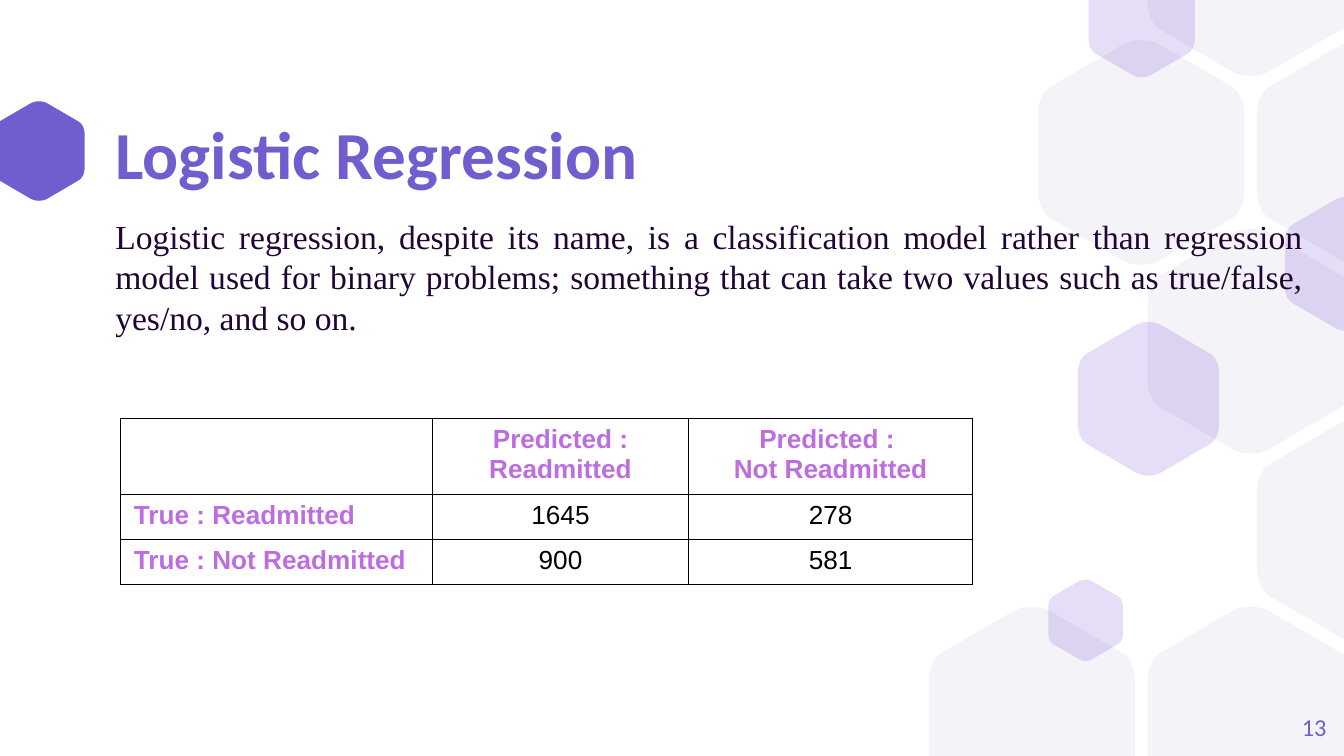
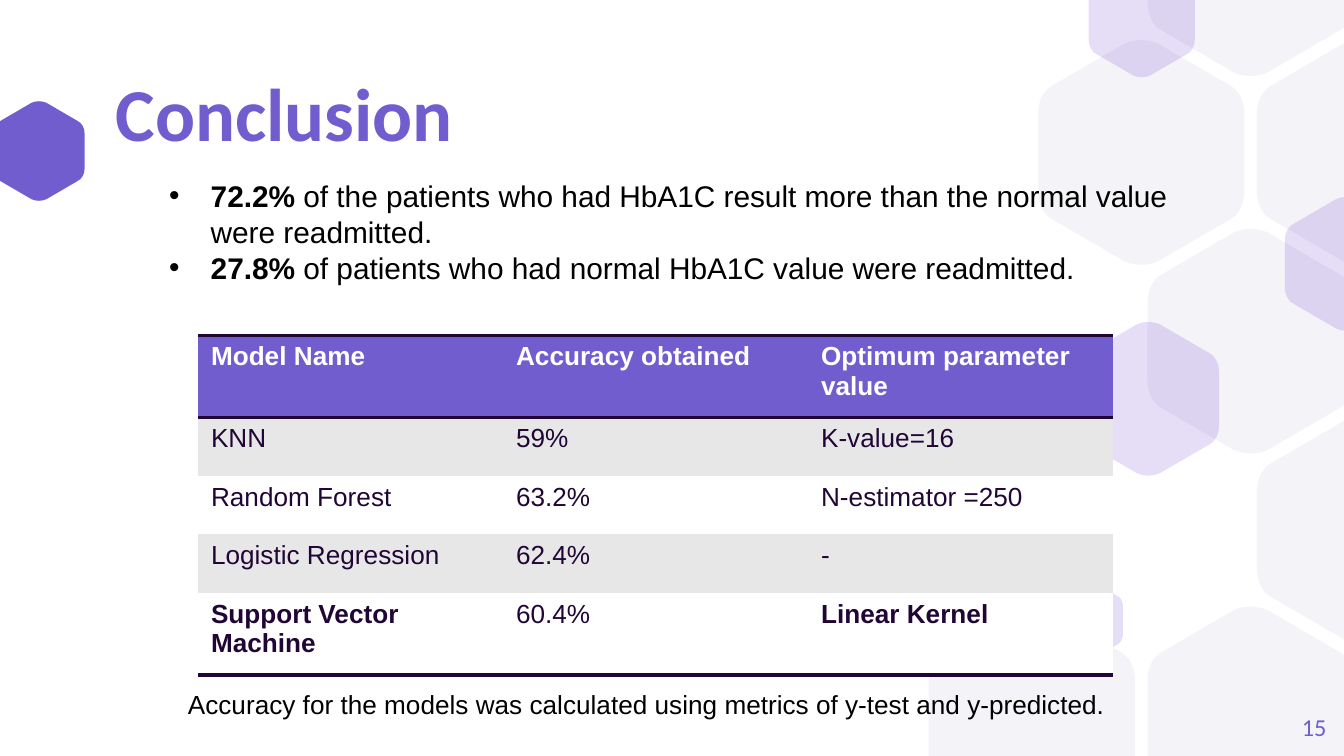
from lxml import etree
from pptx import Presentation
from pptx.dml.color import RGBColor
from pptx.enum.text import MSO_ANCHOR, MSO_AUTO_SIZE, PP_ALIGN
from pptx.oxml.ns import qn
from pptx.util import Emu, Inches, Pt

LEFT, MID, RIGHT, EVEN = PP_ALIGN.LEFT, PP_ALIGN.CENTER, PP_ALIGN.RIGHT, PP_ALIGN.JUSTIFY
TOP, CENTER = MSO_ANCHOR.TOP, MSO_ANCHOR.MIDDLE
FIXED, GROW = MSO_AUTO_SIZE.NONE, MSO_AUTO_SIZE.SHAPE_TO_FIT_TEXT
WIDE = Inches(10)
HIGH = WIDE * 9 // 16
PLAIN = "{2D5ABB26-0587-4C30-8999-92F81FD0307C}"

THEME = {
    "violet": "725DCF", "ink": "210635", "black": "000000", "white": "FFFFFF",
    "orchid": "BD6DE0", "mist": "F4F3F8", "haze": "5322C9", "band": "E8E7E8",
    "title": dict(size=36, name="Calibri", color="violet", bold=True),
    "close": dict(size=40, name="Calibri", color="violet", bold=True),
    "number": dict(size=13, name="Calibri", color="violet"),
    "serif": dict(size=18, name="Times New Roman", color="ink"),
    "bullet": dict(size=16, name="Arial", color="black"),
    "label": dict(size=14, name="Arial", color="orchid", bold=True),
    "value": dict(size=14, name="Arial", color="black"),
    "head": dict(size=14, name="Arial", color="white", bold=True),
    "body": dict(size=14, name="Arial", color="ink"),
    "strong": dict(size=14, name="Arial", color="ink", bold=True),
}

BACK = [(0, 3), (2, 3), (3, 0), (2, -1), (2, 1), (1, 0)]
DROPS = [(95.6, 14.6, 9.15), (78, 43.1, 5.55), (81, -2.9, 7.9), (80.2, 23.9, 10.5)]
FRONT = [(3, 2)]
BADGE = (-0.5, 7.5, 6.8)
RATIO = 1.1
CORNERS = [
    [(1, 0.33), (1, 0.27), (0.97, 0.22), (0.92, 0.2)],
    [(0.58, 0.02), (0.53, 0), (0.47, 0), (0.42, 0.02)],
    [(0.08, 0.2), (0.03, 0.22), (0, 0.27), (0, 0.33)],
]

INTRO = ("Logistic regression, despite its name, is a classification model rather "
         "than regression model used for binary problems; something that can take "
         "two values such as true/false, yes/no, and so on.")
COUNTS = [
    ["", "Predicted : Readmitted", "Predicted : \nNot Readmitted"],
    ["True : Readmitted", "1645", "278"],
    ["True : Not Readmitted", "900", "581"],
]
FACTS = [
    [("72.2%", True), (" of the patients who had HbA1C result more than the normal value were readmitted.", False)],
    [("27.8%", True), (" of patients who had normal HbA1C value were readmitted.", False)],
]
SCORES = [
    ["Model Name", "Accuracy obtained", "Optimum parameter value"],
    ["KNN", "59%", "K-value=16"],
    ["Random Forest", "63.2%", "N-estimator =250"],
    ["Logistic Regression", "62.4%", "-"],
    ["Support Vector Machine", "60.4%", "Linear Kernel"],
]
NOTE = "Accuracy for the models was calculated using metrics of y-test and y-predicted."


def unit(n):
    return Emu(round(WIDE * n / 100))


def tint(name):
    return RGBColor.from_string(THEME[name])


def style(run, look, **more):
    for key, val in {**THEME[look], **more}.items():
        if key == "color":
            run.font.color.rgb = tint(val)
        else:
            setattr(run.font, key, Pt(val) if key == "size" else val)


def write(frame, lines, look, align=LEFT, space=None, bullet=False):
    for i, line in enumerate(lines):
        para = frame.paragraphs[0] if i == 0 else frame.add_paragraph()
        para.alignment, para.line_spacing = align, space
        for words, bold in [(line, None)] if isinstance(line, str) else line:
            run = para.add_run()
            run.text = words
            style(run, look, **({} if bold is None else {"bold": bold}))
        if bullet:
            prop = para._p.get_or_add_pPr()
            prop.set("marL", str(unit(3.1)))
            prop.set("indent", str(-unit(3.1)))
            etree.SubElement(prop, qn("a:buFont")).set("typeface", "Arial")
            etree.SubElement(prop, qn("a:buChar")).set("char", "•")


def text(slide, box, lines, look, tight=False, **form):
    frame = slide.shapes.add_textbox(*map(unit, box)).text_frame
    rules = {"word_wrap": True, "vertical_anchor": CENTER if tight else TOP,
             "auto_size": FIXED if tight else GROW}
    if tight:
        rules.update({f"margin_{side}": 0 for side in ("left", "top", "right", "bottom")})
    for key, val in rules.items():
        setattr(frame, key, val)
    write(frame, lines, look, **form)


def bend(shape, count):
    route = next(shape._element.iter(qn("a:path")))
    lines = route.findall(qn("a:lnTo"))
    for k in range(count):
        first, *rest = lines[4 * k:4 * k + 3]
        arc = etree.Element(qn("a:cubicBezTo"))
        first.addprevious(arc)
        for line in (first, *rest):
            arc.append(line[0])
            route.remove(line)


def hexa(shapes, left, top, width, color, alpha=None):
    tall = width * RATIO
    low = HIGH / unit(1)
    upper = [dot for corner in CORNERS for dot in corner]
    lower = [(1 - x, 1 - y) for x, y in upper]
    if top + tall > low:
        cut = (low - top) / tall
        dots, count = upper + [(0, cut), (1, cut)], 3
    elif top < 0:
        cut = -top / tall
        dots, count = lower + [(1, cut), (0, cut)], 3
    else:
        dots, count = upper + lower, 6
    spots = [(unit(left + x * width), unit(top + y * tall)) for x, y in dots]
    build = shapes.build_freeform(*spots[0], scale=1.0)
    build.add_line_segments(spots[1:], close=True)
    shape = build.convert_to_shape()
    bend(shape, count)
    shape.shadow.inherit = False
    shape.fill.solid()
    shape.fill.fore_color.rgb = tint(color)
    shape.line.fill.background()
    if alpha:
        fill = shape._element.spPr.find(qn("a:solidFill"))
        etree.SubElement(fill[0], qn("a:alpha")).set("val", str(alpha * 1000))


def comb(shapes, cells):
    for col, row in cells:
        hexa(shapes, 69.1 + 8.14 * col, 2.9 + 14.05 * row, 15.35, "mist")


def decor(slide):
    layout = slide.slide_layout
    for holder in list(layout.placeholders):
        holder._element.getparent().remove(holder._element)
    hexa(slide.shapes, *BADGE, "violet")
    group = slide.shapes.add_group_shape().shapes
    comb(group, BACK)
    for drop in DROPS:
        hexa(group, *drop, "haze", 15)
    comb(group, FRONT)
    for shape in list(slide.shapes):
        layout.shapes._spTree.append(shape._element)


def edge(cell, sides, color, width):
    prop = cell._tc.get_or_add_tcPr()
    for side in sides:
        line = etree.SubElement(prop, qn(f"a:ln{side}"), w=str(Pt(width)))
        fill = etree.SubElement(line, qn("a:solidFill"))
        etree.SubElement(fill, qn("a:srgbClr")).set("val", THEME[color])


def grid(slide, left, top, cols, rows, data, form):
    box = map(unit, (left, top, sum(cols), sum(rows)))
    table = slide.shapes.add_table(len(rows), len(cols), *box).table
    table._tbl.tblPr[0].text = PLAIN
    for col, size in zip(table.columns, cols):
        col.width = unit(size)
    for row, size in zip(table.rows, rows):
        row.height = unit(size)
    for r, row in enumerate(data):
        for c, words in enumerate(row):
            cell = table.cell(r, c)
            look, align, fill, sides, color, width = form(r, c)
            edge(cell, sides, color, width)
            if fill:
                cell.fill.solid()
                cell.fill.fore_color.rgb = tint(fill)
            else:
                cell.fill.background()
            if words:
                write(cell.text_frame, words.split("\n"), look, align)


def count(r, c):
    return ("value" if r and c else "label", MID if c else LEFT, None, "LRTB", "black", 0.75)


def score(r, c):
    last = r == len(SCORES) - 1
    look = "head" if r == 0 else "strong" if last and c != 1 else "body"
    fill = "violet" if r == 0 else "band" if r % 2 else "white"
    return look, LEFT, fill, "TB" if r == 0 else "B" if last else "", "ink", 2


def page(deck, title, look, top, number):
    slide = deck.slides.add_slide(deck.slide_layouts[6])
    if len(deck.slides) == 1:
        decor(slide)
    text(slide, (8.6, top, 65.7, 4.3), [title], look, tight=True, space=0.9)
    text(slide, (92.7, 51.9, 6, 4.3), [number], "number", tight=True, align=RIGHT)
    return slide


def main():
    deck = Presentation()
    deck.slide_width, deck.slide_height = WIDE, HIGH

    slide = page(deck, "Logistic Regression", "title", 9.6, "13")
    text(slide, (7.6, 15.57, 90.4, 10.1), [INTRO], "serif", align=EVEN)
    grid(slide, 8.96, 31.12, [23.2, 19.1, 21.1], [5.66, 3.34, 3.34], COUNTS, count)

    slide = page(deck, "Conclusion", "close", 6.6, "15")
    grid(slide, 14.7, 24.95, [22.7] * 3, [6.1, 4.36, 4.36, 4.36, 6.1], SCORES, score)
    text(slide, (11.6, 12.72, 79.4, 9.1), FACTS, "bullet", bullet=True)
    text(slide, (13, 50.7, 71.3, 3.4), [NOTE], "value")

    deck.save("out.pptx")


if __name__ == "__main__":
    main()
